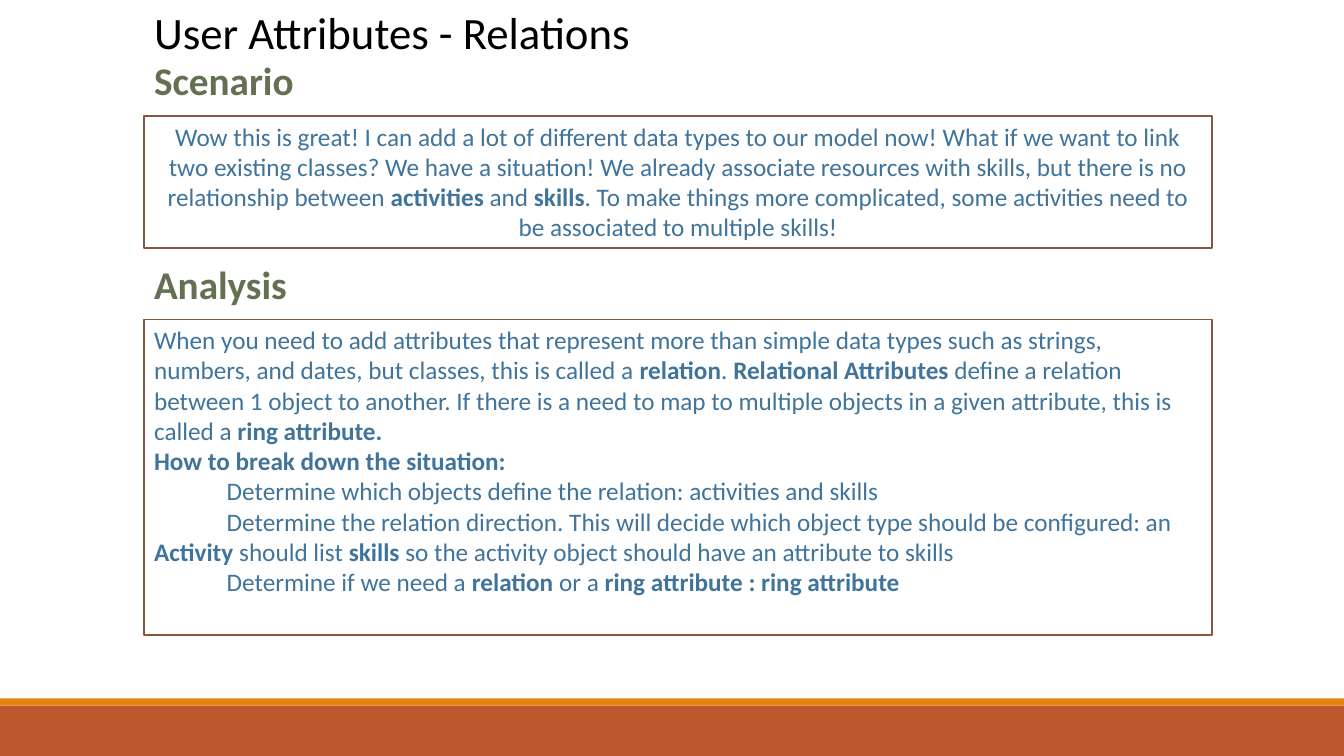
from pptx import Presentation, util as u
from pptx.dml.color import RGBColor
from pptx.enum import shapes, text

WIDTH, HEIGHT = 13.33, 7.5
LEFT, PANEL_WIDTH = 1.43, 10.59
GREEN, BLUE, BROWN = "637052", "40749B", "865640"
STEP_INDENT = 0.72

# Asterisks separate regular spans from bold ones
SCENARIO = [
    "Wow this is great! I can add a lot of different data types to our model now! "
    "What if we want to link two existing classes? We have a situation! We already "
    "associate resources with skills, but there is no relationship between "
    "*activities* and *skills*. To make things more complicated, some activities "
    "need to be associated to multiple skills!",
]
ANALYSIS = [
    "When you need to add attributes that represent more than simple data types such "
    "as strings, numbers, and dates, but classes, this is called a *relation*. "
    "*Relational Attributes* define a relation between 1 object to another. If there "
    "is a need to map to multiple objects in a given attribute, this is called a "
    "*ring attribute.*",
    "*How to break down the situation:*",
]
STEPS = [
    "Determine which objects define the relation: activities and skills",
    "Determine the relation direction. This will decide which object type should be "
    "configured: an *Activity* should list *skills* so the activity object should "
    "have an attribute to skills",
    "Determine if we need a *relation* or a *ring attribute : ring attribute*",
]


def color(value):
    return RGBColor.from_string(value)


def add_span(para, words, size, hue, bold=False):
    span = para.add_run()
    span.text = words
    span.font.name = "Calibri"
    span.font.size = u.Pt(size)
    span.font.bold = bold
    span.font.color.rgb = color(hue)


def add_rect(page, box, fill, line=None):
    rect = page.shapes.add_shape(shapes.MSO_SHAPE.RECTANGLE, *map(u.Inches, box))
    rect.shadow.inherit = False
    rect.fill.solid()
    rect.fill.fore_color.rgb = color(fill)
    if line:
        rect.line.color.rgb = color(line)
        rect.line.width = u.Pt(1.25)
    else:
        rect.line.fill.background()
    return rect


def add_heading(page, box, words, size, hue, bold=True):
    frame = page.shapes.add_textbox(*map(u.Inches, box)).text_frame
    frame.word_wrap = True
    add_span(frame.paragraphs[0], words, size, hue, bold)


def add_panel(page, box, paragraphs, steps=(), align=text.PP_ALIGN.LEFT):
    frame = add_rect(page, box, "FFFFFF", BROWN).text_frame
    frame.word_wrap = True
    frame.vertical_anchor = text.MSO_ANCHOR.TOP
    for index, content in enumerate([*paragraphs, *steps]):
        para = frame.add_paragraph() if index else frame.paragraphs[0]
        para.alignment = align
        if index >= len(paragraphs):
            # Steps start further in, but wrap back to the margin
            para._p.get_or_add_pPr().set("indent", str(u.Inches(STEP_INDENT)))
        for position, words in enumerate(content.split("*")):
            if words:
                add_span(para, words, 18, BLUE, position % 2 == 1)


def add_section(page, top, height, title, paragraphs, **options):
    heading_height, panel_offset = 0.57, 0.64
    add_heading(page, (LEFT, top, 2.2, heading_height), title, 28, GREEN)
    panel = (LEFT, top + panel_offset, PANEL_WIDTH, height - panel_offset)
    add_panel(page, panel, paragraphs, **options)


def add_footer(page, top, stripe=0.07):
    add_rect(page, (0, top + stripe, WIDTH, HEIGHT - top - stripe), "BD582C")
    add_rect(page, (0, top, WIDTH, stripe), "E48312")


def main():
    deck = Presentation()
    deck.slide_width, deck.slide_height = u.Inches(WIDTH), u.Inches(HEIGHT)
    page = deck.slides.add_slide(deck.slide_layouts[6])

    # Footer bands
    add_footer(page, 6.93)
    # Title
    add_heading(page, (LEFT, 0, 4.98, 0.64), "User Attributes - Relations",
                32, "000000", bold=False)
    # Scenario and analysis
    add_section(page, 0.51, 1.95, "Scenario", SCENARIO, align=text.PP_ALIGN.CENTER)
    add_section(page, 2.53, 3.77, "Analysis", ANALYSIS, steps=STEPS)

    deck.save("out.pptx")


if __name__ == "__main__":
    main()
